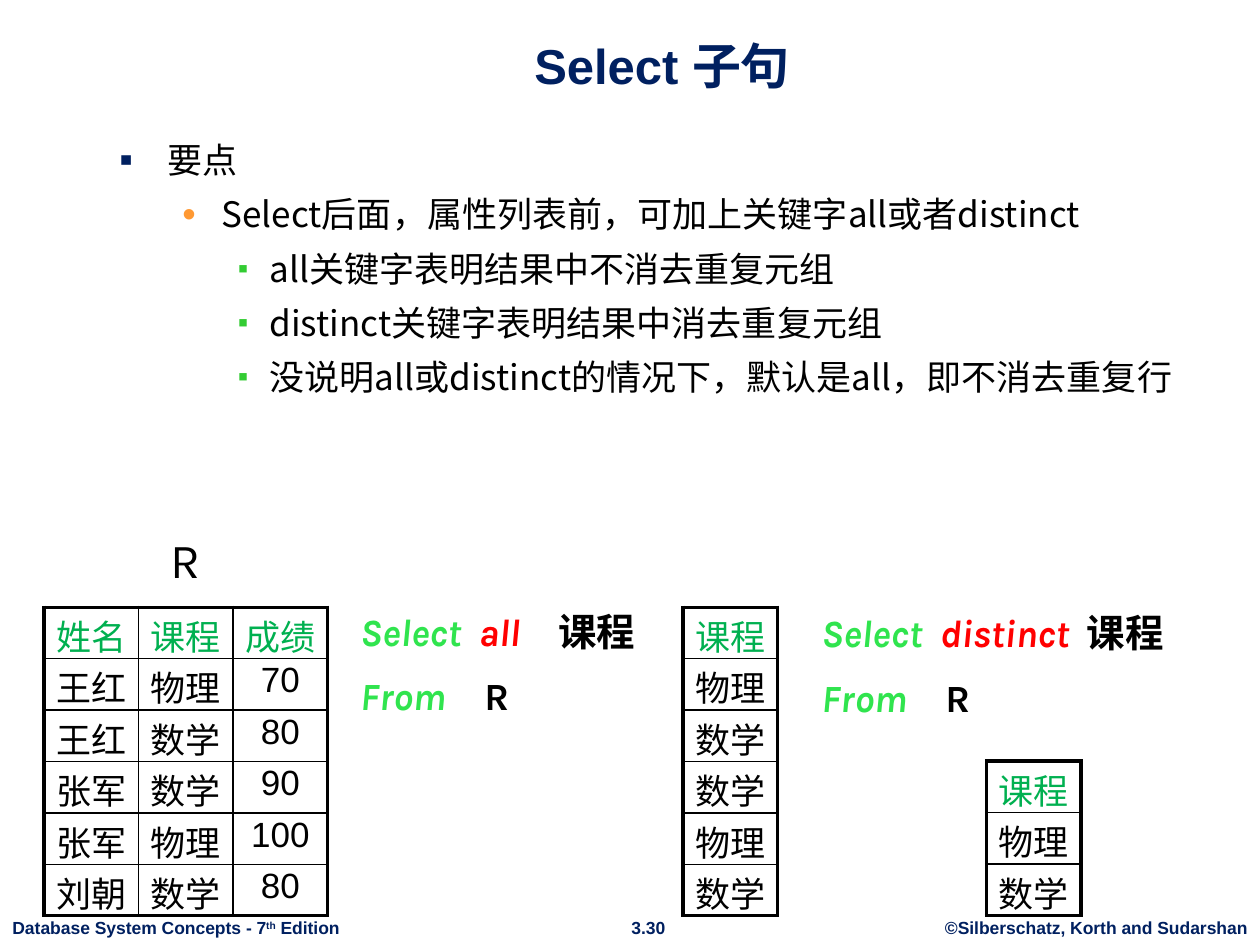
from lxml.etree import SubElement
from pptx import Presentation
from pptx.dml.color import RGBColor
from pptx.enum.text import MSO_ANCHOR, MSO_AUTO_SIZE, PP_ALIGN
from pptx.oxml.ns import qn
from pptx.util import Inches, Pt

NAVY = RGBColor(0x00, 0x20, 0x60)
BLACK = RGBColor(0x00, 0x00, 0x00)
WHITE = RGBColor(0xFF, 0xFF, 0xFF)
RED = RGBColor(0xFF, 0x00, 0x00)
ORANGE = RGBColor(0xFF, 0x99, 0x33)
LEAF = RGBColor(0x33, 0xCC, 0x33)
KEYWORD_GREEN = RGBColor(0x30, 0xE4, 0x4E)
HEADER_GREEN = RGBColor(0x00, 0xB0, 0x50)

ARIAL, KARLA, NOTO = "Arial", "Karla", "Noto Sans CJK SC"
COLUMNS, ROWS = 100, 75
THICK, THIN = 2.25, 1

# per level: bullet, colour, size in percent, left margin, hanging indent
BULLETS = [
    ("▪", NAVY, 110, 0.38, 0.38),
    ("•", ORANGE, 110, 0.81, 0.31),
    ("▪", LEAF, 85, 1.19, 0.25),
]

POINTS = [
    (0, "要点"),
    (1, "Select后面，属性列表前，可加上关键字all或者distinct"),
    (2, "all关键字表明结果中不消去重复元组"),
    (2, "distinct关键字表明结果中消去重复元组"),
    (2, "没说明all或distinct的情况下，默认是all，即不消去重复行"),
]

RELATION = [
    ("姓名", "课程", "成绩"),
    ("王红", "物理", "70"),
    ("王红", "数学", "80"),
    ("张军", "数学", "90"),
    ("张军", "物理", "100"),
    ("刘朝", "数学", "80"),
]
ALL_RESULT = [(row[1],) for row in RELATION]
DISTINCT_RESULT = list(dict.fromkeys(ALL_RESULT))


class Deck:
    """Holds the presentation, its grid and the current slide."""

    def __init__(self):
        self.presentation = Presentation()
        self.presentation.slide_width = Inches(10)
        self.presentation.slide_height = Inches(7.5)
        self.column = self.presentation.slide_width / COLUMNS
        self.row = self.presentation.slide_height / ROWS
        self.slide = self.presentation.slides.add_slide(
            self.presentation.slide_layouts[5])

    def area(self, left, top, width, height):
        return (int(left * self.column), int(top * self.row),
                int(width * self.column), int(height * self.row))

    @staticmethod
    def style(font, name, size, color, bold=False):
        font.name, font.size, font.bold = name, Pt(size), bold
        font.color.rgb = color

    def title(self, text, *place):
        heading = self.slide.shapes.title
        heading.left, heading.top, heading.width, heading.height = self.area(*place)
        heading.text_frame.text = text
        heading.text_frame.vertical_anchor = MSO_ANCHOR.BOTTOM
        paragraph = heading.text_frame.paragraphs[0]
        paragraph.alignment = PP_ALIGN.CENTER
        self.style(paragraph.font, ARIAL, 28, NAVY, bold=True)

    def frame(self, *place, wrap=True, grow=True):
        frame = self.slide.shapes.add_textbox(*self.area(*place)).text_frame
        frame.word_wrap = wrap
        frame.auto_size = (MSO_AUTO_SIZE.SHAPE_TO_FIT_TEXT if grow
                           else MSO_AUTO_SIZE.NONE)
        return frame

    @staticmethod
    def paragraphs(frame, count, gap):
        """Yield count paragraphs, with a gap in points between them."""
        for index in range(count):
            paragraph = frame.add_paragraph() if index else frame.paragraphs[0]
            paragraph.space_before = Pt(gap if index else 0)
            yield paragraph

    def label(self, text, *place, name=ARIAL, size=10, color=NAVY, bold=True,
              wrap=False, align=PP_ALIGN.CENTER):
        paragraph = self.frame(*place, wrap=wrap).paragraphs[0]
        paragraph.text = text
        paragraph.alignment = align
        self.style(paragraph.font, name, size, color, bold)
        return paragraph

    def bullets(self, points, *place):
        frame = self.frame(*place, grow=False)
        for paragraph, (level, text) in zip(
                self.paragraphs(frame, len(points), 7), points):
            mark, color, percent, margin, hanging = BULLETS[level]
            paragraph.text = text
            paragraph.level = level
            properties = paragraph._p.get_or_add_pPr()
            properties.set("marL", str(Inches(margin)))
            properties.set("indent", str(-Inches(hanging)))
            bullet_color = SubElement(properties, qn("a:buClr"))
            SubElement(bullet_color, qn("a:srgbClr"), val=str(color))
            SubElement(properties, qn("a:buSzPct"), val=str(percent * 1000))
            SubElement(properties, qn("a:buFont"), typeface=ARIAL)
            SubElement(properties, qn("a:buChar"), char=mark)
            self.style(paragraph.font, NOTO, 20, BLACK)

    def query(self, quantifier, *place):
        """Show a select statement with coloured keywords."""
        lines = [
            [("Select  ", KEYWORD_GREEN), (quantifier, RED), ("课程", BLACK)],
            [("From　", KEYWORD_GREEN), ("R", BLACK)],
        ]
        frame = self.frame(*place)
        for paragraph, line in zip(self.paragraphs(frame, len(lines), 6.6), lines):
            paragraph.line_spacing = 1.15
            for text, color in line:
                run = paragraph.add_run()
                run.text = text
                self.style(run.font, KARLA, 22, color, bold=True)
                run.font.italic = color != BLACK

    @staticmethod
    def border(cell, **widths):
        properties = cell._tc.get_or_add_tcPr()
        for side, width in widths.items():
            line = SubElement(properties, qn(f"a:ln{side}"), w=str(Pt(width)))
            fill = SubElement(line, qn("a:solidFill"))
            SubElement(fill, qn("a:srgbClr"), val=str(BLACK))

    def table(self, records, left, top, column_width=7.5, row_height=4.08):
        height, width = len(records), len(records[0])
        grid = self.slide.shapes.add_table(height, width, *self.area(
            left, top, width * column_width, height * row_height)).table
        for r, record in enumerate(records):
            for c, text in enumerate(record):
                cell = grid.cell(r, c)
                cell.margin_left = cell.margin_right = Inches(0.04)
                cell.margin_top = cell.margin_bottom = Inches(0.02)
                self.border(cell,
                            L=THIN if c else THICK,
                            R=THICK if c == width - 1 else THIN,
                            T=THIN if r else THICK,
                            B=THICK if r == height - 1 else THIN)
                cell.fill.solid()
                cell.fill.fore_color.rgb = WHITE
                cell.text = text
                paragraph = cell.text_frame.paragraphs[0]
                paragraph.alignment = PP_ALIGN.CENTER
                self.style(paragraph.font, ARIAL, 20, BLACK if r else HEADER_GREEN)

    def footer(self, top=72.3, height=2.7):
        self.label("©Silberschatz, Korth and Sudarshan", 74, top, 26, height)
        self.label("3.30", 49, top, 4.9, height)
        edition = self.label("Database System Concepts - 7", 0, top, 28.1, height,
                             align=PP_ALIGN.LEFT)
        ordinal = edition.add_run()
        ordinal.text = "th"
        ordinal._r.get_or_add_rPr().set("baseline", "30000")
        edition.add_run().text = " Edition"


def main():
    deck = Deck()
    deck.footer()
    deck.title("Select 子句", 8.4, 1.3, 88.3, 6.7)
    deck.bullets(POINTS, 8.5, 10.5, 89.3, 53.6)
    deck.query("all　", 27.6, 47.2, 27.8, 10.5)
    deck.table(RELATION, 3.5, 48.2)
    deck.label("R", 8.5, 41.5, 12.5, 5.7, name=KARLA, size=28, color=BLACK,
               bold=False, wrap=True)
    deck.table(ALL_RESULT, 54.2, 48.2)
    deck.query("distinct  ", 64.2, 47.3, 35.8, 10.5)
    deck.table(DISTINCT_RESULT, 78.3, 60.4)
    deck.presentation.save("out.pptx")


if __name__ == "__main__":
    main()
